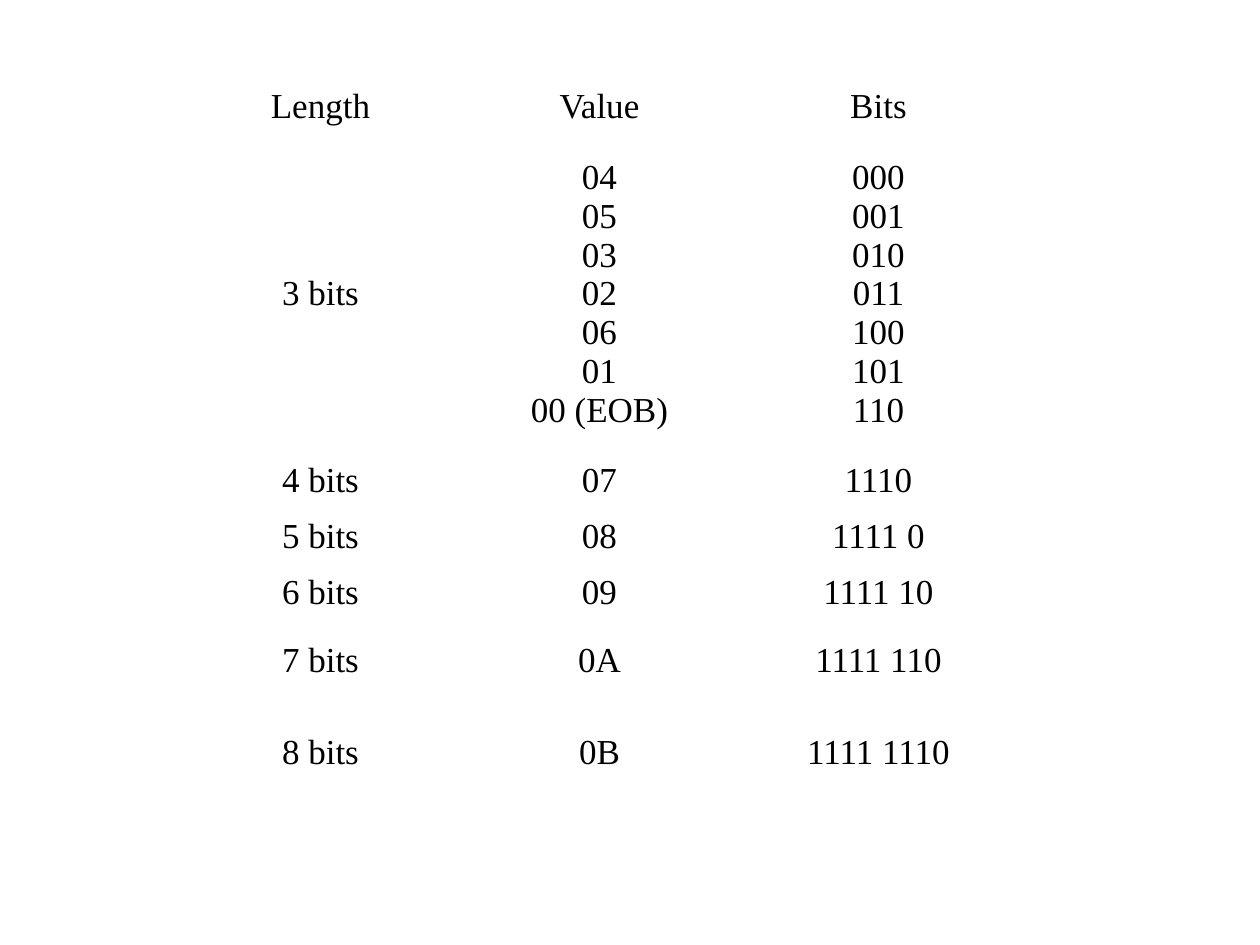
from pptx import Presentation
from pptx.dml.color import RGBColor
from pptx.enum.text import MSO_ANCHOR, PP_ALIGN
from pptx.util import Pt

PX = 914400 / 126
COLORS = {"paper": "FFFFFF", "ink": "000000"}


def px(length):
    return round(length * PX)


prs = Presentation()
prs.slide_width, prs.slide_height = px(1260), px(945)
slide = prs.slides.add_slide(prs.slide_layouts[6])

# Each row: height, then length, values and bits; \v is a line break.
code_rows = [
    (56, "Length", "Value", "Bits"),
    (318, "3 bits", "04\v05\v03\v02\v06\v01\v00 (EOB)",
     "000\v001\v010\v011\v100\v101\v110"),
    (56, "4 bits", "07", "1110"),
    (56, "5 bits", "08", "1111 0"),
    (56, "6 bits", "09", "1111 10"),
    (80, "7 bits", "0A", "1111 110"),
    (104, "8 bits", "0B", "1111 1110"),
]
column_width = 279
table_height = sum(height for height, *_ in code_rows)

code_table = slide.shapes.add_table(
    len(code_rows), 3, px(181), px(79), px(3 * column_width), px(table_height)
).table
code_table.first_row = False
code_table.horz_banding = False
for column in code_table.columns:
    column.width = px(column_width)

for row, (height, *texts) in zip(code_table.rows, code_rows):
    row.height = px(height)
    for cell, text in zip(row.cells, texts):
        cell.fill.solid()
        cell.fill.fore_color.rgb = RGBColor.from_string(COLORS["paper"])
        cell.vertical_anchor = MSO_ANCHOR.MIDDLE
        cell.margin_left = cell.margin_right = px(8)
        cell.margin_top = cell.margin_bottom = px(4)
        paragraph = cell.text_frame.paragraphs[0]
        paragraph.text = text
        paragraph.alignment = PP_ALIGN.CENTER
        paragraph.font.name = "Times New Roman"
        paragraph.font.size = Pt(20)
        paragraph.font.color.rgb = RGBColor.from_string(COLORS["ink"])

prs.save("out.pptx")
